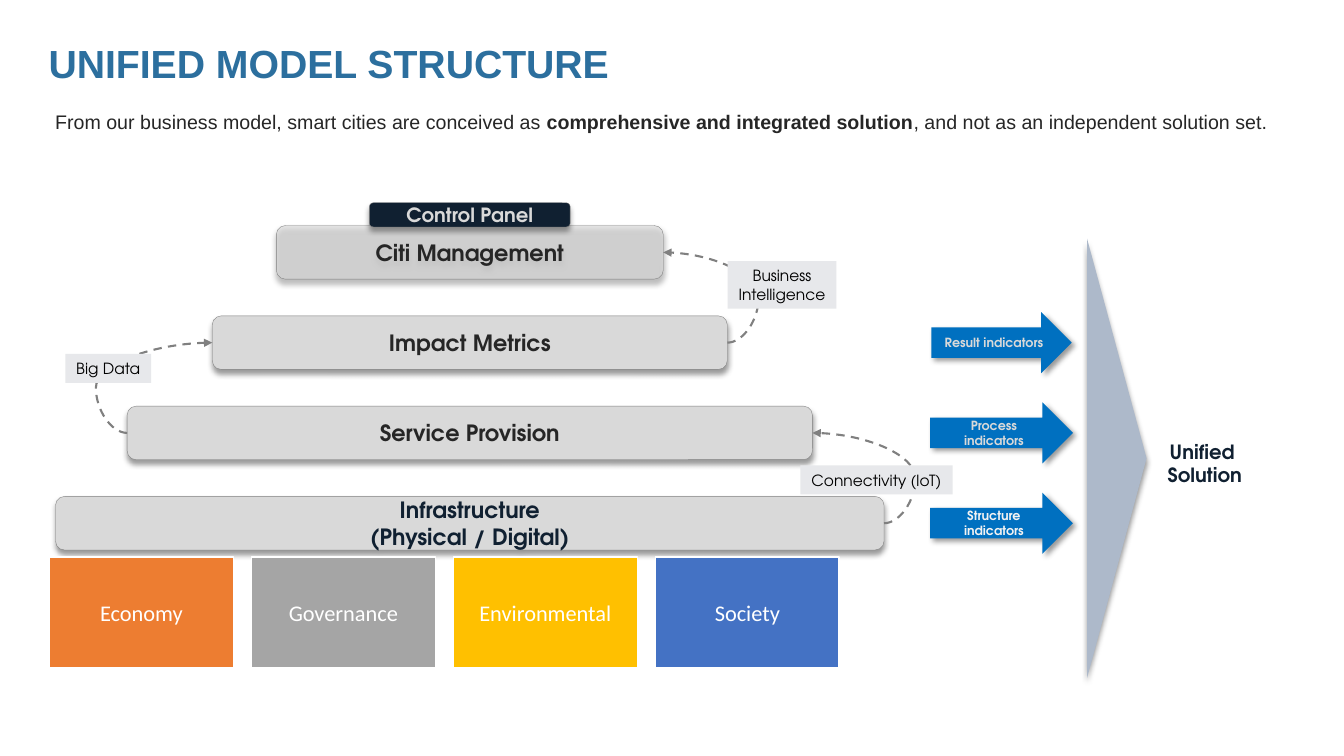
"""Builds the "Unified model structure" slide."""
import lxml.etree
import pptx
import pptx.dml.color
import pptx.enum.dml
import pptx.enum.shapes
import pptx.enum.text
import pptx.oxml.ns
import pptx.util

Cm, Pt = pptx.util.Cm, pptx.util.Pt
RGBColor = pptx.dml.color.RGBColor
SHAPE = pptx.enum.shapes.MSO_SHAPE
ALIGN = pptx.enum.text.PP_ALIGN
ANCHOR = pptx.enum.text.MSO_ANCHOR
qn = pptx.oxml.ns.qn

WHITE = RGBColor(0xFF, 0xFF, 0xFF)
BLACK = RGBColor(0x00, 0x00, 0x00)
NAVY = RGBColor(0x10, 0x20, 0x31)
CHARCOAL = RGBColor(0x26, 0x26, 0x26)
GRAY = RGBColor(0x80, 0x80, 0x80)
SILVER = RGBColor(0xD9, 0xD9, 0xD9)
PALE = RGBColor(0xF2, 0xF2, 0xF2)
LABEL_GRAY = RGBColor(0xE7, 0xE8, 0xEB)
TITLE_BLUE = RGBColor(0x2C, 0x6F, 0x9E)
ARROW_BLUE = RGBColor(0x00, 0x70, 0xC0)
STEEL = RGBColor(0xAD, 0xB9, 0xCA)
ORANGE = RGBColor(0xED, 0x7D, 0x31)
MID_GRAY = RGBColor(0xA5, 0xA5, 0xA5)
YELLOW = RGBColor(0xFF, 0xC0, 0x00)
BLUE = RGBColor(0x44, 0x72, 0xC4)
DIAGRAM_FONT = "TeX Gyre Adventor"

presentation = pptx.Presentation()
presentation.slide_width = Cm(33.87)
presentation.slide_height = Cm(19.05)
slide = presentation.slides.add_slide(presentation.slide_layouts[5])


def add_block(kind, left, top, width, height, fill, border=None, border_width=0.25, shadow_angle=None):
    """Add a filled shape, with a border and a soft shadow on request."""
    block = slide.shapes.add_shape(kind, Cm(left), Cm(top), Cm(width), Cm(height))
    block.fill.solid()
    block.fill.fore_color.rgb = fill
    if border is None:
        block.line.fill.background()
    else:
        block.line.color.rgb = border
        block.line.width = Pt(border_width)
    block.shadow.inherit = False
    if shadow_angle is not None:
        effects = block.element.spPr.find(qn("a:effectLst"))
        shadow = lxml.etree.SubElement(
            effects, qn("a:outerShdw"), blurRad=str(Pt(4)), dist=str(Pt(3)),
            dir=str(shadow_angle * 60000), algn="t", rotWithShape="0")
        shade = lxml.etree.SubElement(shadow, qn("a:srgbClr"), val="000000")
        lxml.etree.SubElement(shade, qn("a:alpha"), val="40000")
    return block


def write(holder, text, size, color, font=DIAGRAM_FONT, bold=False, align=ALIGN.CENTER, wrap=True):
    """Set the text of a shape and format every run of it."""
    holder.text_frame.text = text
    holder.text_frame.word_wrap = wrap
    for paragraph in holder.text_frame.paragraphs:
        paragraph.alignment = align
        for run in paragraph.runs:
            run.font.name = font
            run.font.size = Pt(size)
            run.font.bold = bold
            run.font.color.rgb = color


title = slide.shapes.title
title.left, title.top, title.width, title.height = Cm(0.97), Cm(0.86), Cm(21.11), Cm(1.45)
write(title, "UNIFIED MODEL STRUCTURE", 28, TITLE_BLUE, "Arial", True, ALIGN.LEFT)
title.text_frame.vertical_anchor = ANCHOR.TOP

intro = slide.shapes.add_textbox(Cm(1.14), Cm(2.64), Cm(31.27), Cm(0.86))
intro.text_frame.word_wrap = True
sentence = intro.text_frame.paragraphs[0]
sentence.alignment = ALIGN.JUSTIFY
for words, emphasis in [
    ("From our business model, smart cities are conceived as ", False),
    ("comprehensive and integrated solution", True),
    (", and not as an independent solution set.", False),
]:
    part = sentence.add_run()
    part.text = words
    part.font.name = "Arial"
    part.font.size = Pt(14)
    part.font.bold = emphasis
    part.font.color.rgb = CHARCOAL

PYRAMID_CENTER = 11.84
LEVEL_CENTERS = [6.36 + 2.275 * row for row in range(4)]
BAR_HEIGHT = 1.35
levels = []
for center, (level_name, width, color) in zip(LEVEL_CENTERS, [
    ("Citi Management", 9.75, CHARCOAL),
    ("Impact Metrics", 12.98, CHARCOAL),
    ("Service Provision", 17.27, CHARCOAL),
    ("Infrastructure\n(Physical / Digital)", 20.88, NAVY),
]):
    level = add_block(SHAPE.ROUNDED_RECTANGLE, PYRAMID_CENTER - width / 2, center - BAR_HEIGHT / 2,
                      width, BAR_HEIGHT, SILVER, GRAY, shadow_angle=90)
    write(level, level_name, 16, color, bold=True)
    levels.append(level)
management, metrics, services, infrastructure = levels
management_fill = management.element.spPr.find(qn("a:solidFill"))
lxml.etree.SubElement(management_fill[0], qn("a:alpha"), val="64000")

LEFT_SITE, RIGHT_SITE = 1, 3
BULGE = Cm(0.79)
for lower, upper, site in [
    (infrastructure, services, RIGHT_SITE),
    (services, metrics, LEFT_SITE),
    (metrics, management, RIGHT_SITE),
]:
    link = slide.shapes.add_connector(pptx.enum.shapes.MSO_CONNECTOR.CURVE, 0, 0, 0, 0)
    link.begin_connect(lower, site)
    link.end_connect(upper, site)
    link.line.color.rgb = GRAY
    link.line.width = Pt(1.5)
    link.line.dash_style = pptx.enum.dml.MSO_LINE.DASH
    link_properties = link.element.spPr
    lxml.etree.SubElement(link_properties.find(qn("a:ln")), qn("a:tailEnd"), type="triangle")
    lxml.etree.SubElement(link_properties, qn("a:effectLst"))
    curve = link_properties.find(qn("a:prstGeom"))
    guides = curve.find(qn("a:avLst"))
    if guides is None:
        guides = lxml.etree.SubElement(curve, qn("a:avLst"))
    bend = round(-100000 * BULGE / link.width)
    lxml.etree.SubElement(guides, qn("a:gd"), name="adj1", fmla=f"val {bend}")

for driver, left, top, width, height in [
    ("Connectivity (IoT)", 20.17, 11.73, 3.84, 0.73),
    ("Big Data", 1.65, 8.92, 2.16, 0.73),
    ("Business\nIntelligence", 18.34, 6.58, 2.74, 1.2),
]:
    label = add_block(SHAPE.RECTANGLE, left, top, width, height, LABEL_GRAY)
    write(label, driver, 11, BLACK, wrap=False)

control_panel = add_block(SHAPE.ROUNDED_RECTANGLE, PYRAMID_CENTER - 2.53, 5.11, 5.06, 0.61,
                          NAVY, GRAY, shadow_angle=90)
write(control_panel, "Control Panel", 14, SILVER, bold=True)

funnel = add_block(SHAPE.ISOSCELES_TRIANGLE, 22.61, 10.8, 11.07, 1.5, STEEL, shadow_angle=90)
funnel.rotation = 90
outcome = slide.shapes.add_textbox(Cm(29.16), Cm(10.95), Cm(2.41), Cm(1.45))
write(outcome, "Unified \vSolution", 14, NAVY, bold=True, wrap=False)

for column, (dimension, color) in enumerate([
    ("Economy", ORANGE), ("Governance", MID_GRAY), ("Environmental", YELLOW), ("Society", BLUE),
]):
    tile = add_block(SHAPE.RECTANGLE, 1.25 + 5.09 * column, 14.04, 4.63, 2.79, color, WHITE, 1)
    write(tile, dimension, 16, WHITE, "Calibri")

for center, (indicator, width, color) in zip(LEVEL_CENTERS[1:], [
    ("Result indicators", 3.54, SILVER),
    ("Process indicators", 3.6, SILVER),
    ("Structure indicators", 3.6, PALE),
]):
    arrow = add_block(SHAPE.RIGHT_ARROW, 25.24 - width / 2, center - 0.77, width, 1.54,
                      ARROW_BLUE, shadow_angle=45)
    write(arrow, indicator, 9, color, bold=True)

presentation.save("out.pptx")
